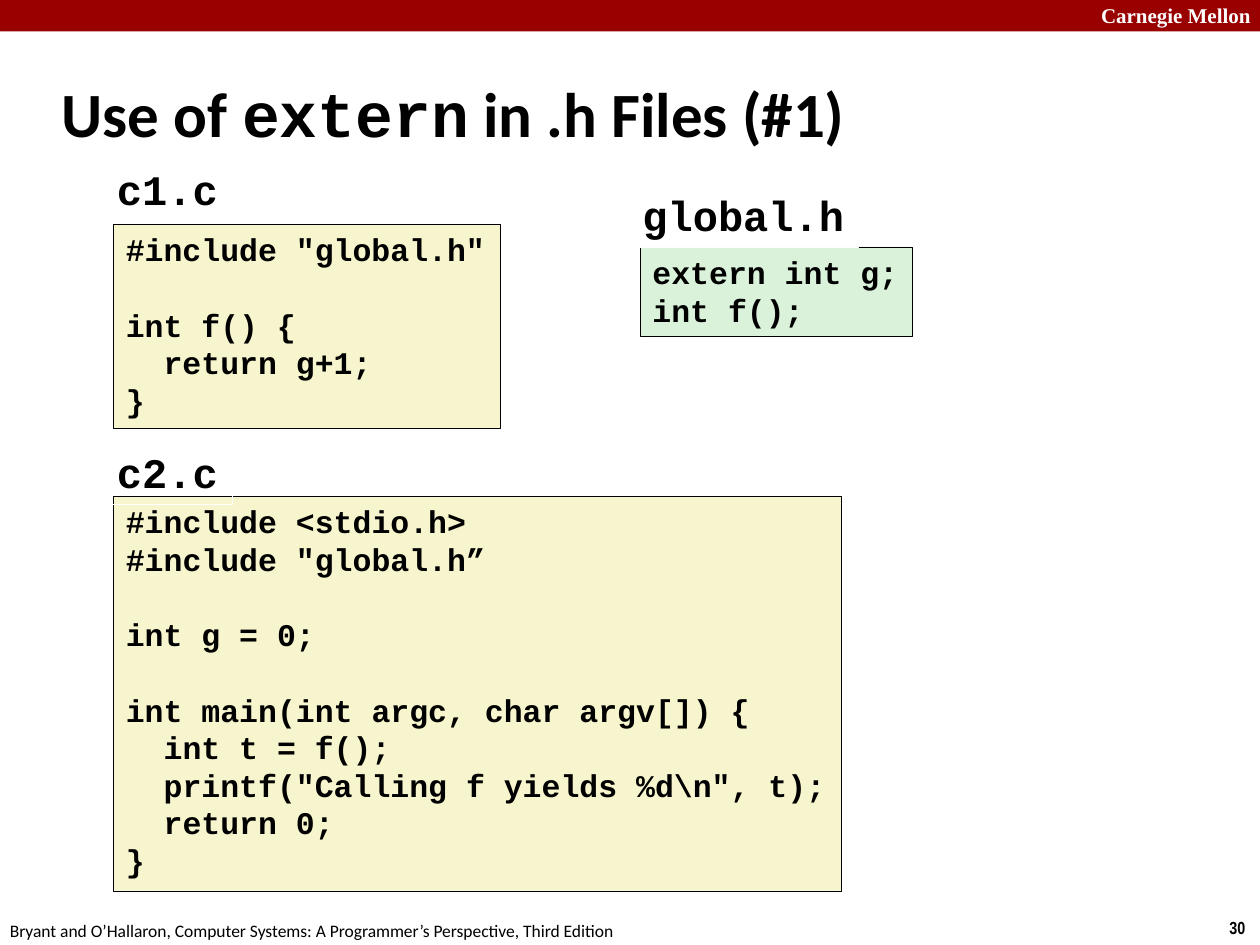
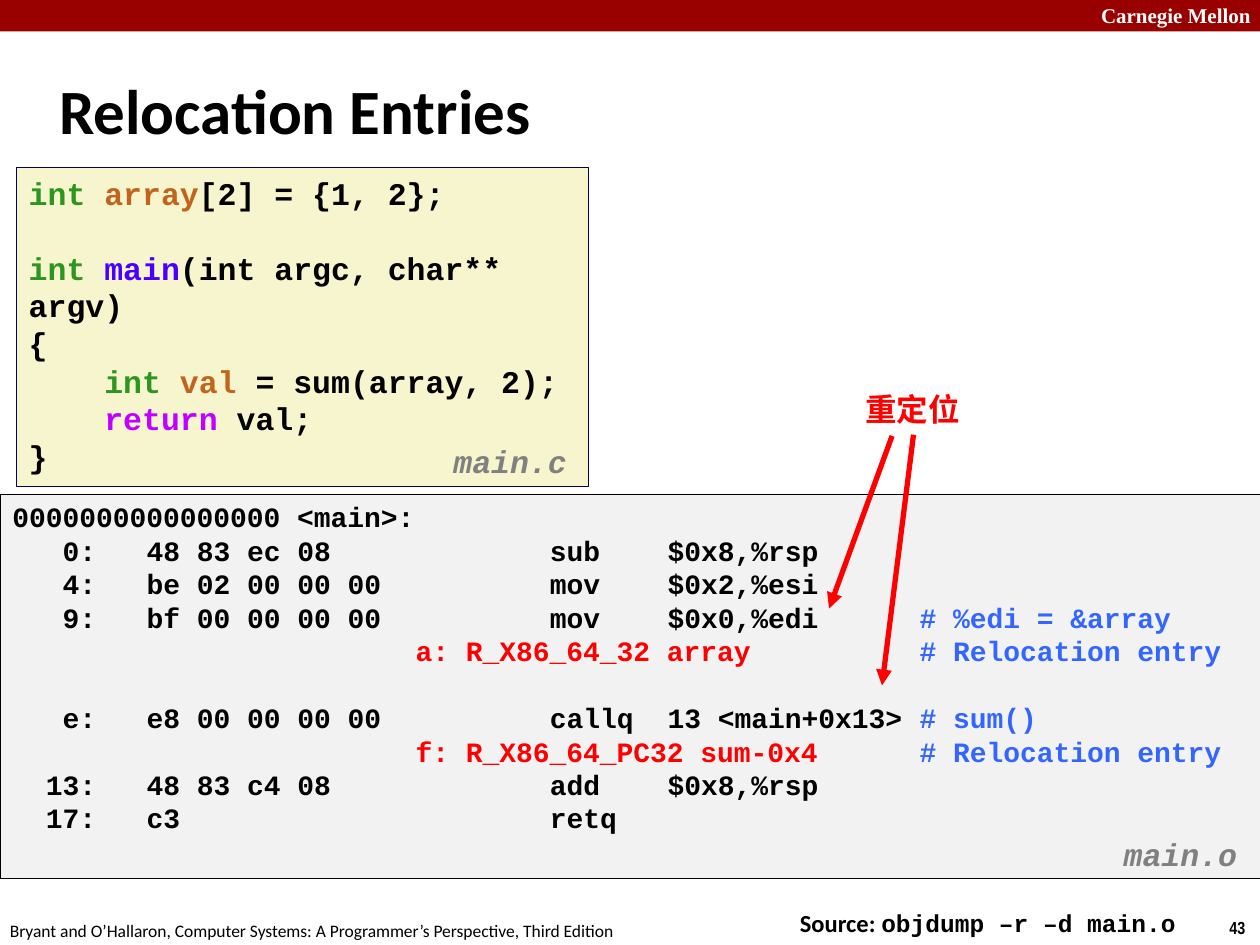
from lxml.etree import SubElement
from pptx import Presentation
from pptx.dml.color import RGBColor
from pptx.enum.shapes import MSO_CONNECTOR, MSO_SHAPE
from pptx.enum.text import MSO_ANCHOR, PP_ALIGN
from pptx.oxml.ns import qn
from pptx.util import Inches, Pt

BLACK = RGBColor(0x00, 0x00, 0x00)
WHITE = RGBColor(0xFF, 0xFF, 0xFF)
CRIMSON = RGBColor(0x99, 0x00, 0x00)
CREAM = RGBColor(0xF7, 0xF5, 0xCD)
MINT = RGBColor(0xDB, 0xF2, 0xDA)
PALE_GRAY = RGBColor(0xF2, 0xF2, 0xF2)
GRAY = RGBColor(0x80, 0x80, 0x80)
NAVY = RGBColor(0x00, 0x00, 0x66)
RED = RGBColor(0xFF, 0x00, 0x00)
BLUE = RGBColor(0x33, 0x66, 0xFF)
GREEN = RGBColor(0x2D, 0x96, 0x1E)
ORANGE = RGBColor(0xC1, 0x65, 0x1C)
INDIGO = RGBColor(0x4A, 0x00, 0xFF)
MAGENTA = RGBColor(0xC2, 0x00, 0xFF)

SANS, MONO = "Calibri", "Courier New"
TITLE = {"name": SANS, "size": Pt(36), "bold": True}
LABEL = {"name": MONO, "size": Pt(24), "bold": True}
CODE = {"name": MONO, "size": Pt(18), "bold": True}
LISTING = {"name": MONO, "size": Pt(16), "bold": True}
FILE_TAG = {"name": MONO, "size": Pt(18), "bold": True, "italic": True}
CALLOUT = {"name": SANS, "size": Pt(18), "bold": True}
SOURCE = {"name": SANS, "size": Pt(14), "bold": True}
BRAND = {"name": "Times New Roman", "size": Pt(12), "bold": True}
FOOTER = {"name": SANS, "size": Pt(10)}
NUMBER = {"name": "Arial Narrow", "size": Pt(10), "bold": True}

deck = Presentation()
deck.slide_width, deck.slide_height = Inches(10), Inches(7.5)
COL = deck.slide_width / 100
ROW = deck.slide_height / 75
MONO_PITCH = 1.195
MONO_ADVANCE = 0.6


def write(frame, lines, font, color=BLACK):
    gap = None
    paragraph = frame.paragraphs[0]
    for index, line in enumerate(lines):
        pitch = int(font["size"] * MONO_PITCH)
        if not line:
            gap = pitch
            continue
        if index:
            paragraph = frame.add_paragraph()
        paragraph.alignment = PP_ALIGN.LEFT
        if font["name"] == MONO:
            paragraph.line_spacing = Pt(round(pitch / Pt(1), 1))
        if gap:
            paragraph.space_before, gap = gap, None
        for text, tint, *face in [(line, color)] if isinstance(line, str) else line:
            run = paragraph.add_run()
            run.text = text
            for key, value in font.items():
                setattr(run.font, key, value)
            if face:
                run.font.name = face[0]
            run.font.color.rgb = tint


def place(slide, cells, lines, font, color=BLACK, fill=None, edge=None, wrap=False):
    left, top, width, height = cells
    area = [int(n) for n in (left * COL, top * ROW, width * COL, height * ROW)]
    if fill or edge:
        block = slide.shapes.add_shape(MSO_SHAPE.RECTANGLE, *area)
        block.shadow.inherit = False
        block.fill.background()
        block.line.fill.background()
        if fill:
            block.fill.solid()
            block.fill.fore_color.rgb = fill
        if edge:
            block.line.color.rgb = edge
            block.line.width = Pt(0.25)
    else:
        block = slide.shapes.add_textbox(*area)
    block.text_frame.word_wrap = wrap
    block.text_frame.vertical_anchor = MSO_ANCHOR.TOP
    write(block.text_frame, lines, font, color)
    return block


pages = [
    ("30", (3.9, 4.8, 83, 8.3),
     [("Use of ", BLACK), ("extern", BLACK, MONO), (" in .h Files (#1)", BLACK)]),
    ("43", (3.7, 4.9, 95.3, 8.6), "Relocation Entries"),
]
slides = []
for number, (left, top, width, height), heading in pages:
    slide = deck.slides.add_slide(deck.slide_layouts[5])
    slides.append(slide)
    place(slide, (0, 0, 100, 2.5), [], BRAND, fill=CRIMSON)
    place(slide, (86.4, -0.3, 14.3, 3), ["Carnegie Mellon"], BRAND, WHITE, wrap=True)
    place(slide, (96.6, 72.3, 3.4, 2.7), [number], NUMBER)
    place(slide, (-0.2, 72.5, 50.8, 2.7),
          ["Bryant and O’Hallaron, Computer Systems: "
           "A Programmer’s Perspective, Third Edition"], FOOTER)
    title = slide.shapes.title
    title.left, title.top = int(left * COL), int(top * ROW)
    title.width, title.height = int(width * COL), int(height * ROW)
    title.text_frame.vertical_anchor = MSO_ANCHOR.MIDDLE
    write(title.text_frame, [heading], TITLE)

extern_slide, relocation_slide = slides
relocation_slide.shapes.title.text_frame.paragraphs[0].line_spacing = 0.82

c1_code = """#include "global.h"

int f() {
  return g+1;
}"""
global_code = """extern int g;
int f();"""
c2_code = r"""#include <stdio.h>
#include "global.h”

int g = 0;

int main(int argc, char argv[]) {
  int t = f();
  printf("Calling f yields %d\n", t);
  return 0;
}"""
files = [
    ("c1.c", (8.3, 12.5, 10.1, 5), c1_code, (9, 17.8, 30.7, 16.2), CREAM),
    ("global.h", (50, 14.6, 18.1, 5), global_code, (50.8, 19.6, 21.6, 7.1), MINT),
    ("c2.c", (8.3, 35, 10.1, 5), c2_code, (9, 39.4, 57.8, 31.3), CREAM),
]
for file_name, label_cells, code, code_cells, fill in files:
    place(extern_slide, code_cells, code.splitlines(), CODE, fill=fill, edge=BLACK)
    place(extern_slide, label_cells, [file_name], LABEL, edge=WHITE)

place(relocation_slide, (62.5, 71.6, 32.1, 3.4),
      [[("Source: ", BLACK), ("objdump –r –d main.o", BLACK, MONO)]], SOURCE)

entry_note = (54, "# Relocation entry", BLUE)
instructions = [
    [(0, "0000000000000000 <main>:", BLACK)],
    [(0, "   0:", BLACK), (8, "48 83 ec 08", BLACK), (32, "sub", BLACK),
     (39, "$0x8,%rsp", BLACK)],
    [(0, "   4:", BLACK), (8, "be 02 00 00 00", BLACK), (32, "mov", BLACK),
     (39, "$0x2,%esi", BLACK)],
    [(0, "   9:", BLACK), (8, "bf 00 00 00 00", BLACK), (32, "mov", BLACK),
     (39, "$0x0,%edi", BLACK), (54, "# %edi = &array", BLUE)],
    [(24, "a: R_X86_64_32 array", RED), entry_note],
    [],
    [(0, "   e:", BLACK), (8, "e8 00 00 00 00", BLACK), (32, "callq", BLACK),
     (39, "13 <main+0x13>", BLACK), (54, "# sum()", BLUE)],
    [(24, "f: R_X86_64_PC32 sum-0x4", RED), entry_note],
    [(0, "  13:", BLACK), (8, "48 83 c4 08", BLACK), (32, "add", BLACK),
     (39, "$0x8,%rsp", BLACK)],
    [(0, "  17:", BLACK), (8, "c3", BLACK), (32, "retq", BLACK)],
]
listing_lines = [[("\t" + text if column else text, tint) for column, text, tint in row]
                 for row in instructions]
disassembly = place(relocation_slide, (0, 39.2, 100, 30.5), listing_lines, LISTING,
                    fill=PALE_GRAY, edge=BLACK, wrap=True)
for paragraph, row in zip(disassembly.text_frame.paragraphs, filter(None, instructions)):
    stops = [column for column, *_ in row if column]
    if stops:
        tab_list = SubElement(paragraph._p.get_or_add_pPr(), qn("a:tabLst"))
        for column in stops:
            position = int(column * MONO_ADVANCE * LISTING["size"])
            SubElement(tab_list, qn("a:tab"), pos=str(position), algn="l")
place(relocation_slide, (88.2, 65.8, 11.7, 3.9), ["main.o"], FILE_TAG, GRAY)

main_lines = [
    [("int ", GREEN), ("array", ORANGE), ("[2] = {1, 2};", BLACK)],
    [],
    [("int ", GREEN), ("main", INDIGO), ("(int argc, char** argv)", BLACK)],
    "{",
    [("    ", BLACK), ("int ", GREEN), ("val", ORANGE), (" = sum(array, 2);", BLACK)],
    [("    ", BLACK), ("return", MAGENTA), (" val;", BLACK)],
    "}",
]
place(relocation_slide, (1.3, 13.3, 45.4, 25.3), main_lines, CODE,
      fill=CREAM, edge=NAVY, wrap=True)
place(relocation_slide, (35, 34.6, 11.7, 3.9), ["main.c"], FILE_TAG, GRAY)

callout = place(relocation_slide, (67.7, 30.5, 9.6, 4), ["重定位"], CALLOUT, RED)
arrows = []
for start_x, end_x, end_y in [(70.8, 65.8, 48.3), (72.5, 70, 54.4)]:
    arrow = relocation_slide.shapes.add_connector(
        MSO_CONNECTOR.STRAIGHT, int(start_x * COL), int(34.6 * ROW),
        int(end_x * COL), int(end_y * ROW))
    arrow.line.color.rgb = RED
    arrow.line.width = Pt(3)
    SubElement(arrow.line._get_or_add_ln(), qn("a:tailEnd"), type="triangle")
    SubElement(arrow._element.spPr, qn("a:effectLst"))
    arrows.append(arrow)
arrows[1].begin_connect(callout, 2)

deck.save("out.pptx")
